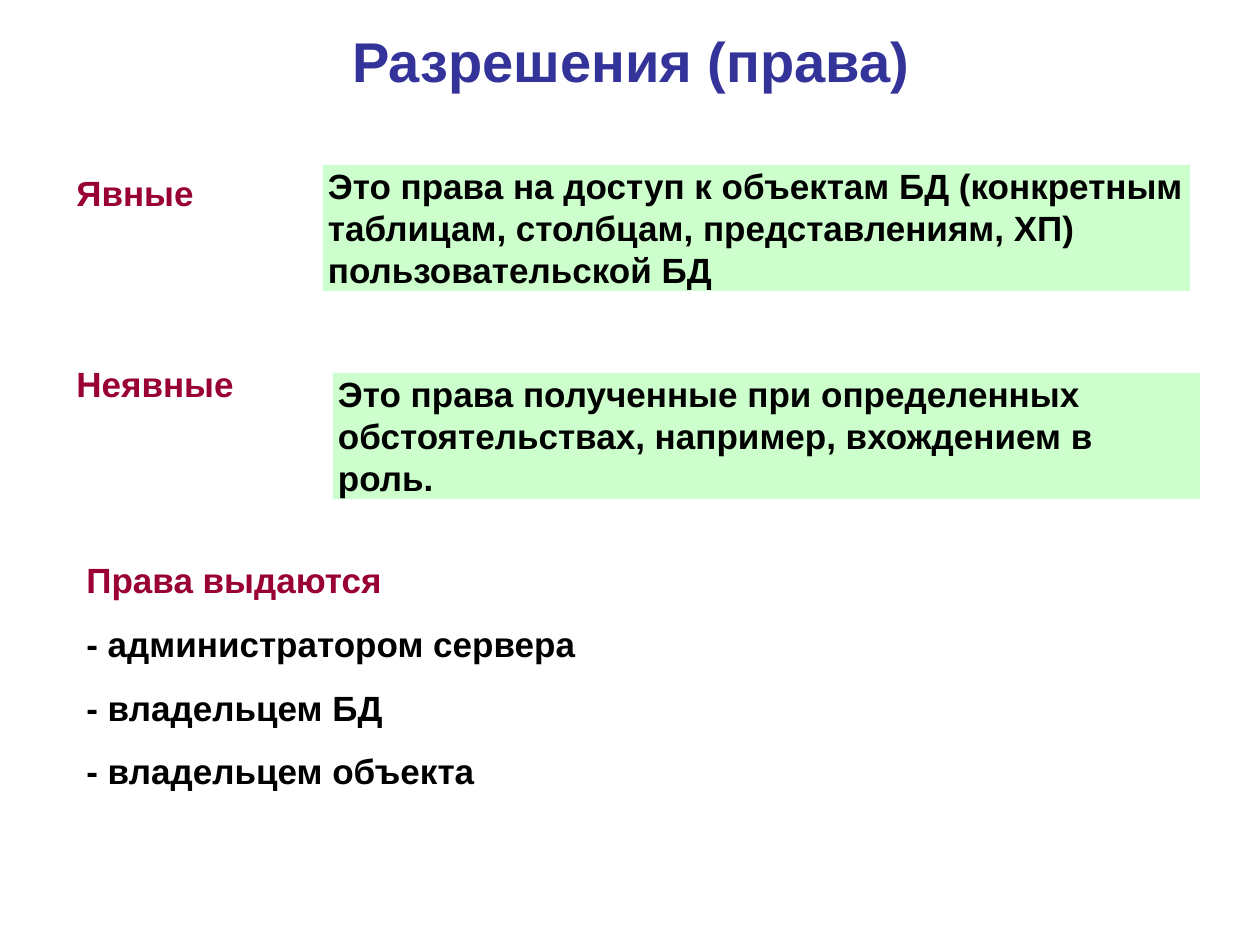
import pptx
import pptx.dml.color
import pptx.enum.shapes
import pptx.enum.text
import pptx.util

PX_PER_INCH = 126
FONT = "Arial"
COLORS = {
    "title": "333399",
    "heading": "990033",
    "text": "000000",
    "panel": "CCFFCC",
}
LINE, GAP = 24, 12.5


def px(n):
    """Turn pixels into EMU."""
    return pptx.util.Emu(round(n * 914400 / PX_PER_INCH))


def rgb(name):
    """Look up a named colour."""
    return pptx.dml.color.RGBColor.from_string(COLORS[name])


def place(sp, left, top, width, height):
    """Move and size a shape in pixels."""
    sp.left, sp.top, sp.width, sp.height = map(px, (left, top, width, height))


def style(p, color, size):
    """Set the bold font of a paragraph."""
    p.font.name = FONT
    p.font.size = pptx.util.Pt(size)
    p.font.bold = True
    p.font.color.rgb = rgb(color)


def write(tf, lines, gap=GAP):
    """Fill a frame with (text, colour) paragraphs set apart by a gap."""
    tf.word_wrap = True
    tf.vertical_anchor = pptx.enum.text.MSO_ANCHOR.TOP
    for i, (text, color) in enumerate(lines):
        p = tf.add_paragraph() if i else tf.paragraphs[0]
        p.text = text
        p.alignment = pptx.enum.text.PP_ALIGN.LEFT
        p.line_spacing = pptx.util.Pt(LINE)
        p.space_before = pptx.util.Pt(gap if i else 0)
        style(p, color, 20)


def set_title(s, text):
    """Format the title placeholder."""
    sp = s.shapes.title
    place(sp, 64, 26, 1134, 68)
    tf = sp.text_frame
    tf.vertical_anchor = pptx.enum.text.MSO_ANCHOR.MIDDLE
    p = tf.paragraphs[0]
    p.text = text
    p.alignment = pptx.enum.text.PP_ALIGN.CENTER
    style(p, "title", 32)


def add_text(s, box, lines, gap=GAP):
    """Add a plain text box."""
    sp = s.shapes.add_textbox(*map(px, box))
    write(sp.text_frame, lines, gap)


def add_panel(s, left, top, text):
    """Add a filled definition panel."""
    sp = s.shapes.add_shape(
        pptx.enum.shapes.MSO_SHAPE.RECTANGLE, *map(px, (left, top, 867, 126))
    )
    sp.shadow.inherit = False
    sp.fill.solid()
    sp.fill.fore_color.rgb = rgb("panel")
    sp.line.fill.background()
    tf = sp.text_frame
    tf.margin_left = tf.margin_right = px(5)
    tf.margin_top = tf.margin_bottom = 0
    write(tf, [(text, "text")])


def main():
    """Build the slide and save it."""
    prs = pptx.Presentation()
    prs.slide_width, prs.slide_height = px(1260), px(945)
    s = prs.slides.add_slide(prs.slide_layouts[5])
    set_title(s, "Разрешения (права)")
    add_text(
        s,
        (64, 165, 277, 247),
        [("Явные", "heading"), ("Неявные", "heading")],
        gap=3 * GAP + 2 * LINE,
    )
    add_panel(
        s, 323, 165,
        "Это права на доступ к объектам БД (конкретным таблицам, столбцам, "
        "представлениям, ХП) пользовательской БД",
    )
    add_panel(
        s, 333, 373,
        "Это права полученные при определенных обстоятельствах, например, "
        "вхождением в роль.",
    )
    grantors = ["администратором сервера", "владельцем БД", "владельцем объекта"]
    add_text(
        s,
        (74, 552, 517, 247),
        [("Права выдаются", "heading")] + [(f"- {g}", "text") for g in grantors],
    )
    prs.save("out.pptx")


if __name__ == "__main__":
    main()
